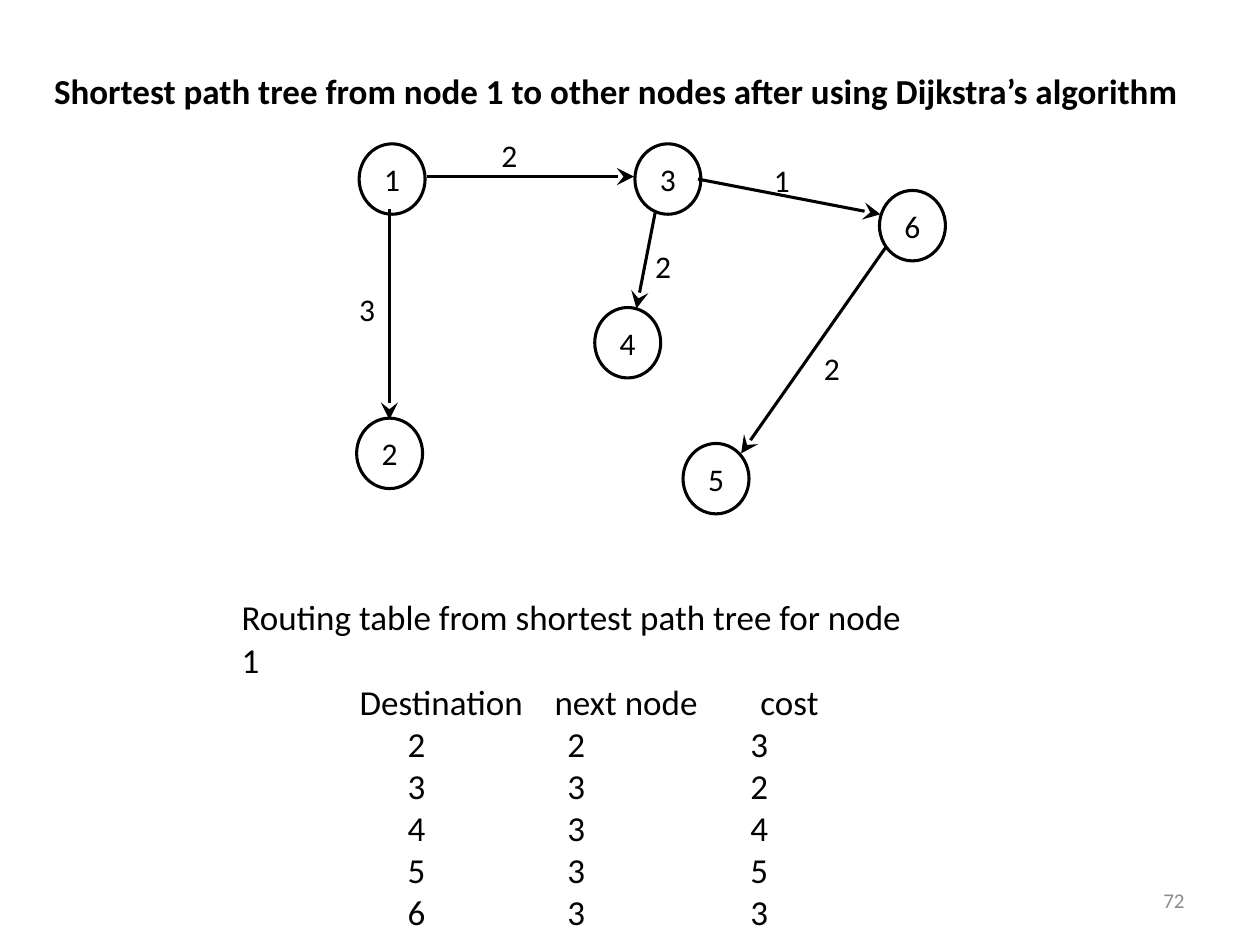
from lxml import etree
from pptx import Presentation
from pptx.dml.color import RGBColor
from pptx.enum.shapes import MSO_CONNECTOR, MSO_SHAPE
from pptx.enum.text import MSO_ANCHOR, MSO_AUTO_SIZE, PP_ALIGN
from pptx.oxml.ns import qn
from pptx.util import Cm, Pt

STRAIGHT = MSO_CONNECTOR.STRAIGHT
OVAL = MSO_SHAPE.OVAL
MIDDLE = MSO_ANCHOR.MIDDLE
GROW = MSO_AUTO_SIZE.SHAPE_TO_FIT_TEXT
CENTER, RIGHT = PP_ALIGN.CENTER, PP_ALIGN.RIGHT

COLORS = {"ink": "000000", "number": "8C8C8C"}
FLUSH = {"margin_left": 0, "margin_right": 0, "margin_top": 0, "margin_bottom": 0}
LINE_WIDTH = Pt(1.75)
NODE_W, NODE_H = 1.33, 1.42

NODES = {
    "1": (0.05, 0.16),
    "2": (0, 5.69),
    "3": (5.61, 0.16),
    "4": (4.8, 3.46),
    "5": (6.58, 6.2),
    "6": (10.54, 1.1),
}
EDGES = [
    ("2", (1.42, 0.82), (5.59, 0.82), (2.92, 0)),
    ("2", (6.02, 1.53), (5.64, 3.48), (6.02, 2.24)),
    ("1", (6.88, 0.87), (10.56, 1.58), (8.41, 0.51)),
    ("2", (10.67, 2.24), (7.75, 6.4), (9.42, 4.3)),
    ("3", (0.66, 1.48), (0.66, 5.72), (0.05, 3.1)),
]
HEADER = ("Destination", "next node", "cost")
HEADER_TABS = (2.38, 6.31, 10.46)
ROUTES = [(2, 2, 3), (3, 3, 2), (4, 3, 4), (5, 3, 5), (6, 3, 3)]
ROUTE_TABS = (3.35, 6.57, 10.26)


def set_attrs(obj, values):
    for name, value in values.items():
        setattr(obj, name, value)


def color(name):
    return RGBColor.from_string(COLORS[name])


def write(p, text, size, ink="ink", bold=False):
    r = p.add_run()
    r.text = text
    set_attrs(r.font, {"name": "Calibri", "size": Pt(size), "bold": bold})
    r.font.color.rgb = color(ink)


def add_box(s, left, top, width, height, **frame):
    tf = s.shapes.add_textbox(Cm(left), Cm(top), Cm(width), Cm(height)).text_frame
    set_attrs(tf, {"word_wrap": False, "auto_size": GROW, **frame})
    return tf


def add_tabs(p, stops):
    tab_list = etree.SubElement(p._p.get_or_add_pPr(), qn("a:tabLst"))
    for stop in stops:
        etree.SubElement(tab_list, qn("a:tab"), pos=str(Cm(stop)), algn="l")


def add_node(s, label, left, top):
    sp = s.shapes.add_shape(OVAL, Cm(left), Cm(top), Cm(NODE_W), Cm(NODE_H))
    sp.shadow.inherit = False
    sp.fill.background()
    sp.line.color.rgb = color("ink")
    sp.line.width = LINE_WIDTH
    tf = sp.text_frame
    set_attrs(tf, {"word_wrap": False, "vertical_anchor": MIDDLE, **FLUSH})
    p = tf.paragraphs[0]
    p.alignment = CENTER
    write(p, label, 18)


def add_arrow(s, x1, y1, x2, y2):
    arrow = s.shapes.add_connector(STRAIGHT, Cm(x1), Cm(y1), Cm(x2), Cm(y2))
    arrow.line.color.rgb = color("ink")
    arrow.line.width = LINE_WIDTH
    etree.SubElement(arrow.line._get_or_add_ln(), qn("a:tailEnd"),
                     type="stealth", w="lg", len="lg")
    etree.SubElement(arrow._element.spPr, qn("a:effectLst"))


def add_title(s, left, top, width, height):
    tf = add_box(s, left, top, width, height)
    write(tf.paragraphs[0],
          "Shortest path tree from node 1 to other nodes after using Dijkstra’s algorithm",
          20, bold=True)


def add_tree(s, left, top):
    for label, (x, y) in NODES.items():
        add_node(s, label, left + x, top + y)
    for cost, (x1, y1), (x2, y2), (x, y) in EDGES:
        add_arrow(s, left + x1, top + y1, left + x2, top + y2)
        tf = add_box(s, left + x, top + y, 0.3, 0.76, **FLUSH)
        write(tf.paragraphs[0], cost, 18)


def add_routing(s, left, top, width, height):
    tf = add_box(s, left, top, width, height, word_wrap=True)
    write(tf.paragraphs[0], "Routing table from shortest path tree for node 1", 20)
    lines = [(HEADER, HEADER_TABS)] + [(route, ROUTE_TABS) for route in ROUTES]
    for cells, stops in lines:
        p = tf.add_paragraph()
        add_tabs(p, stops)
        write(p, "".join(f"\t{cell}" for cell in cells), 20)


def add_number(s, left, top, width, height):
    tf = add_box(s, left, top, width, height, word_wrap=True,
                 auto_size=MSO_AUTO_SIZE.NONE, vertical_anchor=MIDDLE)
    p = tf.paragraphs[0]
    p.alignment = RIGHT
    write(p, "72", 12, "number")


def main():
    prs = Presentation()
    prs.slide_width, prs.slide_height = Cm(25.4), Cm(19.05)
    s = prs.slides.add_slide(prs.slide_layouts[6])
    add_number(s, 18.2, 17.65, 5.93, 1.01)
    add_tree(s, 7.19, 2.74)
    add_title(s, 0.84, 1.27, 23.93, 1.1)
    add_routing(s, 4.62, 11.89, 13.92, 6.17)
    prs.save("out.pptx")


if __name__ == "__main__":
    main()
